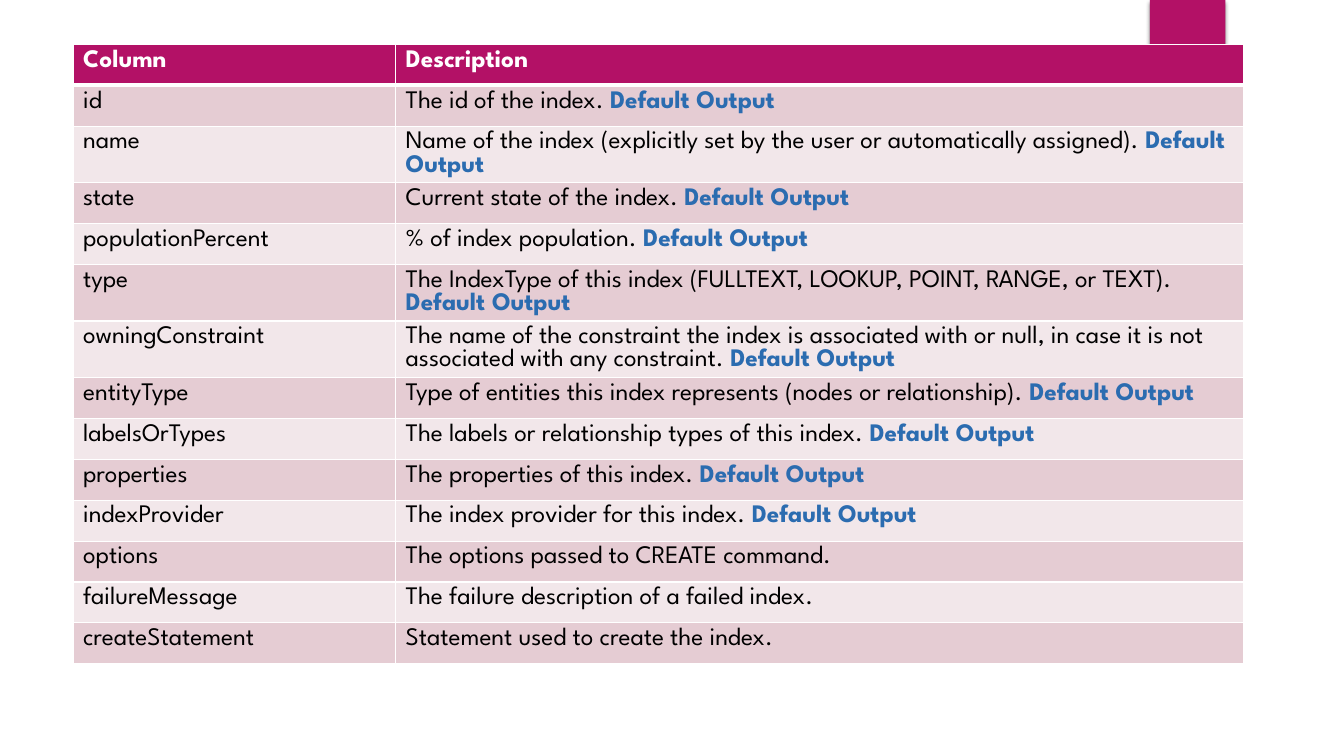
import pptx
import pptx.dml.color
import pptx.enum.shapes
import pptx.oxml
import pptx.oxml.ns
import pptx.util
from dataclasses import dataclass

Cm = pptx.util.Cm
Pt = pptx.util.Pt


@dataclass(frozen=True)
class Theme:
    font: str = "League Spartan"
    size: int = 18
    accent: str = "B31166"
    white: str = "FFFFFF"
    text: str = "000000"
    default_output: str = "2B6CB0"
    bands: tuple = ("E5CCD3", "F2E7EA")
    rule: int = 1
    header_rule: int = 3


THEME = Theme()
HEADINGS = ("Column", "Description")

# Column name, description, whether it belongs to the default output
INDEX_COLUMNS = [
    ("id", "The id of the index. ", True),
    ("name", "Name of the index (explicitly set by the user or automatically assigned). ", True),
    ("state", "Current state of the index. ", True),
    ("populationPercent", "% of index population. ", True),
    ("type", "The IndexType of this index (FULLTEXT, LOOKUP, POINT, RANGE, or TEXT). ", True),
    ("owningConstraint", "The name of the constraint the index is associated with or null, "
     "in case it is not associated with any constraint. ", True),
    ("entityType", "Type of entities this index represents (nodes or relationship). ", True),
    ("labelsOrTypes", "The labels or relationship types of this index. ", True),
    ("properties", "The properties of this index. ", True),
    ("indexProvider", "The index provider for this index. ", True),
    ("options", "The options passed to CREATE command.", False),
    ("failureMessage", "The failure description of a failed index.", False),
    ("createStatement", "Statement used to create the index.", False),
]


def rgb(value):
    return pptx.dml.color.RGBColor.from_string(value)


def add_run(paragraph, text, color, bold=False):
    run = paragraph.add_run()
    run.text = text
    run.font.name = THEME.font
    run.font.size = Pt(THEME.size)
    run.font.bold = bold
    run.font.color.rgb = rgb(color)


def fill_cell(cell, fill, runs, top=THEME.rule, bottom=THEME.rule):
    # Borders come before the fill in the cell properties
    properties = cell._tc.get_or_add_tcPr()
    sides = {"L": THEME.rule, "R": THEME.rule, "T": top, "B": bottom}
    for side, width in sides.items():
        properties.append(pptx.oxml.parse_xml(
            f'<a:ln{side} {pptx.oxml.ns.nsdecls("a")} w="{Pt(width)}"><a:solidFill>'
            f'<a:srgbClr val="{THEME.white}"/></a:solidFill></a:ln{side}>'))
    cell.fill.solid()
    cell.fill.fore_color.rgb = rgb(fill)
    for run in runs:
        add_run(cell.text_frame.paragraphs[0], *run)


def add_corner_tag(slide, left, top, width, height):
    tag = slide.shapes.add_shape(
        pptx.enum.shapes.MSO_SHAPE.RECTANGLE, left, top, width, height)
    tag.fill.solid()
    tag.fill.fore_color.rgb = rgb(THEME.accent)
    tag.line.fill.background()
    # Soft shadow straight below the tag
    tag._element.spPr.append(pptx.oxml.parse_xml(
        f'<a:effectLst {pptx.oxml.ns.nsdecls("a")}>'
        f'<a:outerShdw blurRad="{Pt(3)}" dist="{Pt(2)}" dir="5400000" rotWithShape="0">'
        f'<a:srgbClr val="{THEME.text}"><a:alpha val="45000"/></a:srgbClr>'
        '</a:outerShdw></a:effectLst>'))


def add_index_table(slide, left, top, width, row_height):
    row_count = len(INDEX_COLUMNS) + 1
    table = slide.shapes.add_table(
        row_count, len(HEADINGS), left, top, width, row_height * row_count).table
    name_width = Cm(8.13)
    table.columns[0].width = name_width
    table.columns[1].width = width - name_width
    for row in table.rows:
        row.height = row_height

    # Header row
    for column, heading in enumerate(HEADINGS):
        fill_cell(table.cell(0, column), THEME.accent,
                  [(heading, THEME.white, True)], bottom=THEME.header_rule)

    # Banded body rows
    for row, (name, description, is_default) in enumerate(INDEX_COLUMNS, start=1):
        band = THEME.bands[(row - 1) % 2]
        top_rule = THEME.header_rule if row == 1 else THEME.rule
        description_runs = [(description, THEME.text)]
        if is_default:
            description_runs.append(("Default Output", THEME.default_output, True))
        fill_cell(table.cell(row, 0), band, [(name, THEME.text)], top=top_rule)
        fill_cell(table.cell(row, 1), band, description_runs, top=top_rule)


def main():
    presentation = pptx.Presentation()
    presentation.slide_width = Cm(33.87)
    presentation.slide_height = Cm(19.05)
    slide = presentation.slides.add_slide(presentation.slide_layouts[6])
    add_corner_tag(slide, Cm(28.98), Cm(0), Cm(1.9), Cm(3.18))
    add_index_table(slide, Cm(1.84), Cm(1.12), Cm(29.49), Cm(1.03))
    presentation.save("out.pptx")


if __name__ == "__main__":
    main()
